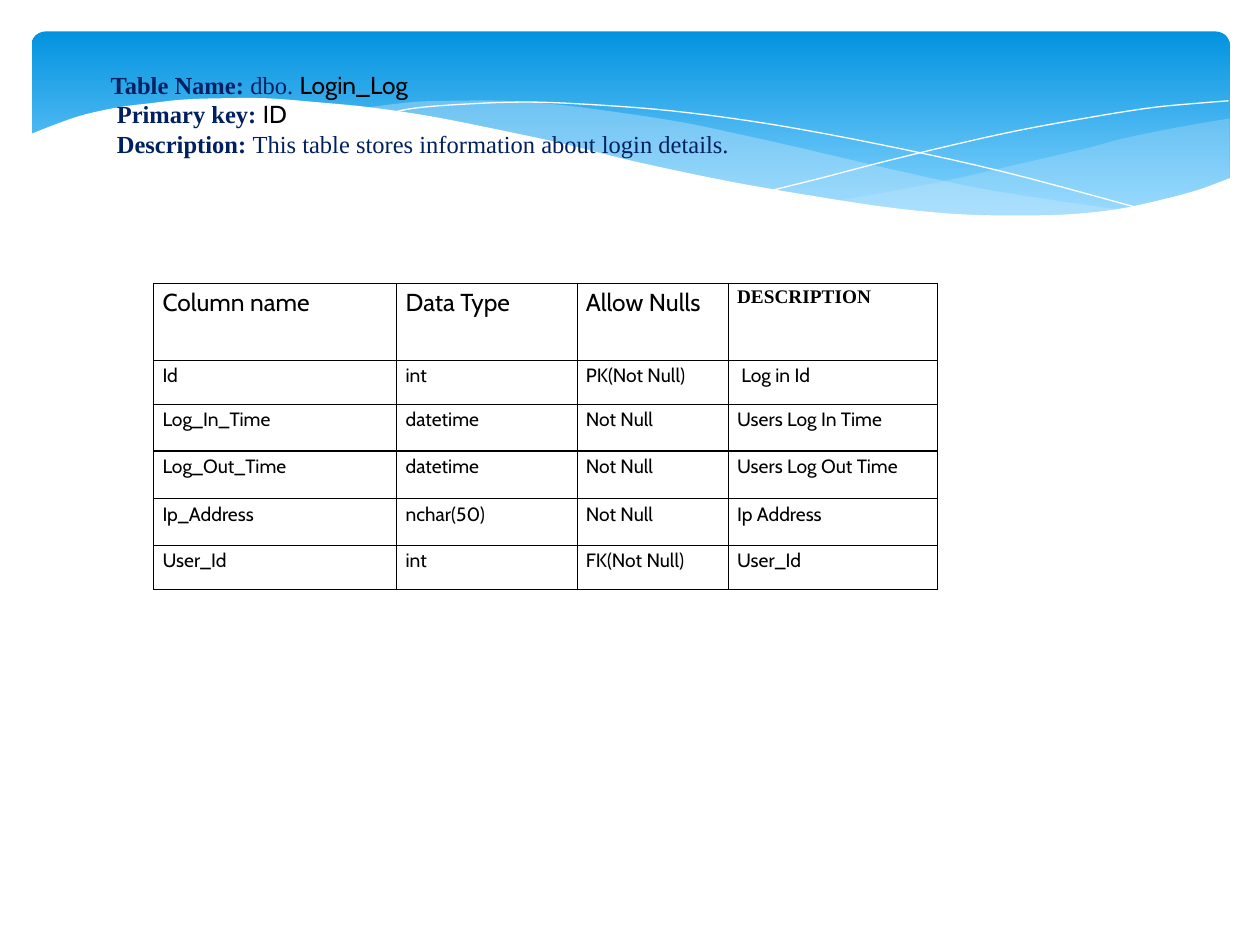
from lxml import etree
from pptx import Presentation
from pptx import util as u
from pptx.dml.color import RGBColor
from pptx.enum import shapes, text
from pptx.oxml.ns import qn

NAVY = RGBColor(0x00, 0x20, 0x60)
BLACK = RGBColor(0x00, 0x00, 0x00)
WHITE = RGBColor(0xFF, 0xFF, 0xFF)
PALE_BLUE = RGBColor(0xC6, 0xE7, 0xFC)
BLUE_TOP = RGBColor(0x02, 0x93, 0xE0)
BLUE_BOTTOM = RGBColor(0x83, 0xD3, 0xFE)
SERIF, SANS = "Times New Roman", "Cabin"

# Curve points in inches
RIGHT_TOP = [(9.76, 0.94), (9.35, 1.01), (8.91, 1.1), (8.61, 1.18), (8.05, 1.31),
             (7.53, 1.43), (7.06, 1.52), (6.61, 1.6)]
RIGHT_BOTTOM = [(6.61, 1.6), (7.05, 1.65), (7.45, 1.69), (7.81, 1.72), (8.24, 1.72),
                (8.63, 1.7), (8.97, 1.65), (9.28, 1.58), (9.49, 1.52), (9.76, 1.41)]
MIDDLE_TOP = [(8.93, 1.67), (8.37, 1.59), (7.75, 1.49), (7.06, 1.34), (6.29, 1.16),
              (5.84, 1.06), (5.41, 0.97), (4.89, 0.89), (4.42, 0.83), (3.99, 0.8),
              (3.61, 0.8), (3.28, 0.81), (2.86, 0.86)]
MIDDLE_BOTTOM = [(2.86, 0.86), (3.42, 0.94), (4.04, 1.06), (4.49, 1.16), (5.3, 1.35),
                 (6.01, 1.5), (6.65, 1.61), (7.22, 1.68), (7.73, 1.72), (8.18, 1.73),
                 (8.57, 1.71), (8.93, 1.67)]
FALLING_LINE = [(3.09, 0.9), (3.28, 0.86), (3.63, 0.83), (4.16, 0.81), (4.69, 0.83),
                (5.33, 0.88), (6.08, 0.98), (6.95, 1.14), (7.95, 1.36), (9.07, 1.66)]
RISING_LINE = [(6.13, 1.51), (6.53, 1.41), (6.95, 1.3), (7.48, 1.17), (8.06, 1.04),
               (8.66, 0.93), (9.1, 0.86), (9.38, 0.83), (9.75, 0.8)]
WHITE_EDGE = [(9.77, 1.41), (9.5, 1.51), (9.2, 1.59), (8.87, 1.66), (8.5, 1.7),
              (8.09, 1.71), (7.61, 1.7), (7.08, 1.65), (6.48, 1.56), (5.79, 1.44),
              (5.03, 1.28), (4.47, 1.14), (3.91, 1.02), (3.4, 0.92), (2.92, 0.85),
              (2.5, 0.81), (2.11, 0.78), (1.77, 0.78), (1.46, 0.79), (1.19, 0.82),
              (0.95, 0.85), (0.67, 0.91), (0.46, 0.98), (0.23, 1.07)]

HEADING = [
    [("Table Name: ", SERIF, NAVY, True), ("dbo. ", SERIF, NAVY, False),
     ("Login_Log", SANS, BLACK, False)],
    [(" Primary key: ", SERIF, NAVY, True), ("ID", SANS, BLACK, False)],
    [(" Description: ", SERIF, NAVY, True),
     ("This table stores information about login details.", SERIF, NAVY, False)],
]

COL_WIDTHS = [1.93, 1.43, 1.2, 1.66]
ROW_HEIGHTS = [0.61, 0.35, 0.37, 0.38, 0.37, 0.35]
ROWS = [
    ["Column name", "Data Type", "Allow Nulls", "DESCRIPTION"],
    ["Id", "int", "PK(Not Null)", " Log in Id"],
    ["Log_In_Time", "datetime", "Not Null", "Users Log In Time"],
    ["Log_Out_Time", "datetime", "Not Null", "Users Log Out Time"],
    ["Ip_Address", "nchar(50)", "Not Null", "Ip Address"],
    ["User_Id", "int", "FK(Not Null)", "User_Id"],
]


def smooth(points, steps=5):
    """Sample a Catmull-Rom curve through the points."""
    padded = [points[0], *points, points[-1]]
    curve = [points[0]]
    for a, b, c, d in zip(padded, padded[1:], padded[2:], padded[3:]):
        for t in (i / steps for i in range(1, steps + 1)):
            curve.append(tuple(
                0.5 * (2 * q + (s - p) * t + (2 * p - 5 * q + 4 * s - v) * t ** 2
                       + (3 * q - p - 3 * s + v) * t ** 3)
                for p, q, s, v in zip(a, b, c, d)))
    return curve


def add_curve(slide, points, closed):
    emu = [(u.Inches(x), u.Inches(y)) for x, y in points]
    builder = slide.shapes.build_freeform(*emu[0])
    builder.add_line_segments(emu[1:], close=closed)
    sp = builder.convert_to_shape()
    sp.shadow.inherit = False
    return sp


def add_wave(slide, points, color, opacity=100):
    sp = add_curve(slide, points, True)
    sp.fill.solid()
    sp.fill.fore_color.rgb = color
    sp.line.fill.background()
    if opacity < 100:
        clr = sp._element.spPr.find(qn("a:solidFill")).find(qn("a:srgbClr"))
        etree.SubElement(clr, qn("a:alpha"), val=str(opacity * 1000))


def add_hairline(slide, points):
    sp = add_curve(slide, smooth(points), False)
    sp.fill.background()
    sp.line.color.rgb = WHITE
    sp.line.width = u.Pt(0)


def add_banner(slide):
    sp = slide.shapes.add_shape(shapes.MSO_SHAPE.ROUNDED_RECTANGLE, u.Inches(0.25),
                                u.Inches(0.25), u.Inches(9.51), u.Inches(1.56))
    sp.adjustments[0] = 0.071
    sp.shadow.inherit = False
    sp.line.fill.background()
    sp.fill.gradient()
    sp.fill.gradient_angle = 270
    stops = zip(sp.fill.gradient_stops, (0, 0.9), (BLUE_TOP, BLUE_BOTTOM))
    for stop, position, color in stops:
        stop.position = position
        stop.color.rgb = color


def add_run(p, words, font, color, bold, size):
    r = p.add_run()
    r.text = words
    r.font.name = font
    r.font.size = u.Pt(size)
    r.font.bold = bold
    r.font.color.rgb = color


def add_heading(slide):
    box = slide.shapes.add_textbox(u.Inches(0.53), u.Inches(0.5),
                                   u.Inches(8.25), u.Inches(0.81))
    tf = box.text_frame
    tf.word_wrap = True
    tf.vertical_anchor = text.MSO_ANCHOR.MIDDLE
    for i, runs in enumerate(HEADING):
        p = tf.add_paragraph() if i else tf.paragraphs[0]
        p._p.get_or_add_pPr().set("marL", str(u.Inches(0.25)))
        for run in runs:
            add_run(p, *run, size=14)


def set_borders(cell):
    tc_pr = cell._tc.get_or_add_tcPr()
    for i, side in enumerate(("lnL", "lnR", "lnT", "lnB")):
        ln = etree.Element(qn(f"a:{side}"), w=str(u.Pt(0.75)))
        fill = etree.SubElement(ln, qn("a:solidFill"))
        etree.SubElement(fill, qn("a:srgbClr"), val=str(BLACK))
        tc_pr.insert(i, ln)


def add_columns_table(slide):
    frame = slide.shapes.add_table(
        len(ROWS), len(COL_WIDTHS), u.Inches(1.22), u.Inches(2.25),
        u.Inches(sum(COL_WIDTHS)), u.Inches(sum(ROW_HEIGHTS)))
    table = frame.table
    table.first_row = table.horz_banding = False
    for column, width in zip(table.columns, COL_WIDTHS):
        column.width = u.Inches(width)
    for i, (row, height) in enumerate(zip(table.rows, ROW_HEIGHTS)):
        row.height = u.Inches(height)
        for cell, words in zip(row.cells, ROWS[i]):
            cell.margin_left = cell.margin_right = u.Inches(0.07)
            cell.margin_top = cell.margin_bottom = 0
            cell.fill.background()
            set_borders(cell)
            p = cell.text_frame.paragraphs[0]
            p.line_spacing = 1.15
            strong = words == "DESCRIPTION"
            add_run(p, words, SERIF if strong else SANS, BLACK, strong,
                    14 if i == 0 and not strong else 11)


def main():
    prs = Presentation()
    prs.slide_width, prs.slide_height = u.Inches(10), u.Inches(7.5)
    s = prs.slides.add_slide(prs.slide_layouts[6])

    # Banner with waves
    add_banner(s)
    add_wave(s, smooth(RIGHT_TOP) + smooth(RIGHT_BOTTOM), PALE_BLUE, 29)
    add_wave(s, smooth(MIDDLE_TOP) + smooth(MIDDLE_BOTTOM), PALE_BLUE, 40)
    add_hairline(s, FALLING_LINE)
    add_hairline(s, RISING_LINE)
    add_wave(s, smooth(WHITE_EDGE) + [(0.23, 2.24), (9.77, 2.24)], WHITE)

    # Heading and table of columns
    add_heading(s)
    add_columns_table(s)
    prs.save("out.pptx")


if __name__ == "__main__":
    main()
